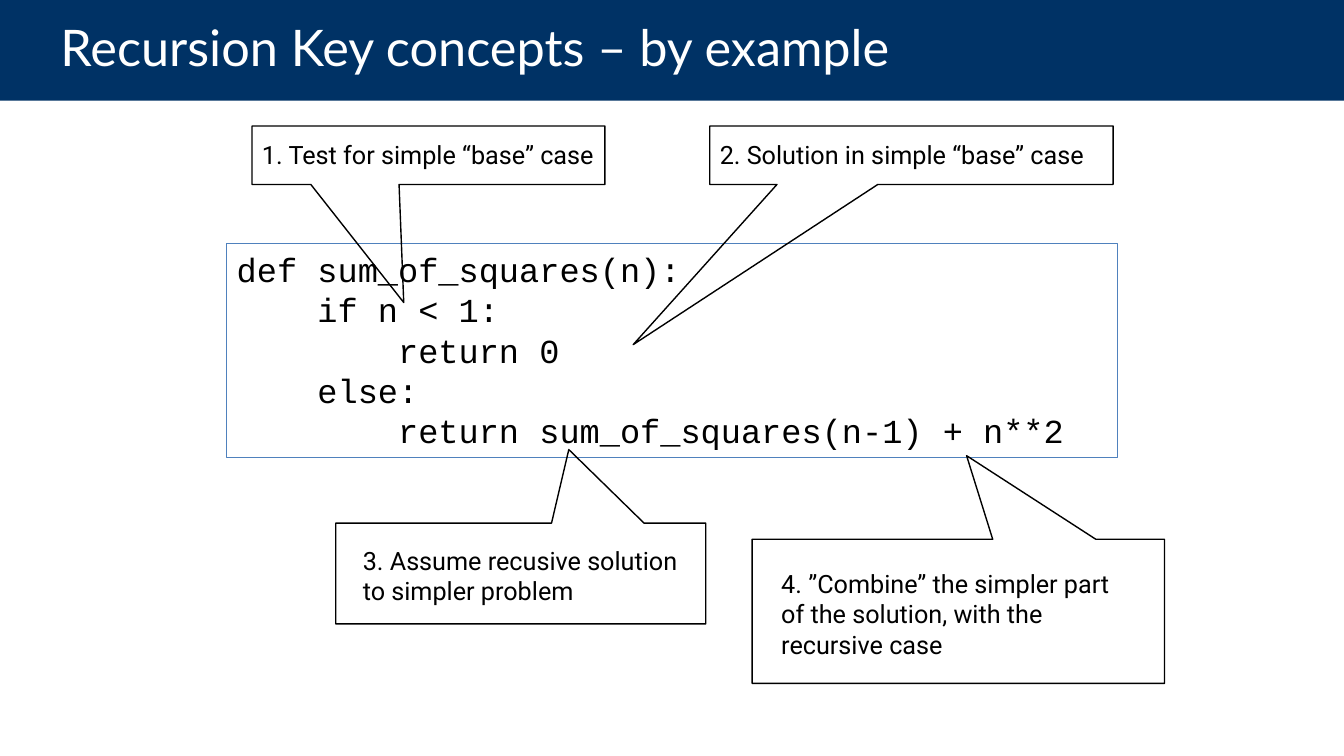
from pptx import Presentation
from pptx.dml.color import RGBColor
from pptx.enum.shapes import MSO_SHAPE
from pptx.enum.text import MSO_ANCHOR, PP_ALIGN
from pptx.util import Inches, Pt

RECT = MSO_SHAPE.RECTANGLE
CALLOUT = MSO_SHAPE.RECTANGULAR_CALLOUT
TOP, MIDDLE = MSO_ANCHOR.TOP, MSO_ANCHOR.MIDDLE
LEFT = PP_ALIGN.LEFT

NAVY = RGBColor(0x00, 0x32, 0x65)
BLUE = RGBColor(0x4F, 0x81, 0xBD)
BLACK = RGBColor(0x00, 0x00, 0x00)
WHITE = RGBColor(0xFF, 0xFF, 0xFF)

TITLE = "Recursion Key concepts – by example"
CODE = [
    "def sum_of_squares(n):",
    "    if n < 1:",
    "        return 0",
    "    else:",
    "        return sum_of_squares(n-1) + n**2",
]
# (text, callout box, pointer offset as a share of the box, text box)
CALLOUTS = [
    ("1. Test for simple “base” case",
     (2.5, 1.25, 3.5, 0.58), (-0.07, 2.52), (2.5, 1.33, 3.49, 0.4)),
    ("2. Solution in simple “base” case",
     (7.04, 1.25, 4, 0.58), (-0.69, 3.24), (7.04, 1.33, 3.85, 0.4)),
    ("3. Assume recusive solution to simpler problem",
     (3.33, 5.19, 3.67, 1), (0.13, -1.23), (3.5, 5.36, 3.33, 0.71)),
    ("4. ”Combine” the simpler part of the solution, with the recursive case",
     (7.46, 5.35, 4.09, 1.43), (0.02, -1.08), (7.65, 5.59, 3.72, 0.93)),
]


def add_box(shapes, kind, box, fill=None, line=None, width=1):
    sp = shapes.add_shape(kind, *map(Inches, box))
    sp.shadow.inherit = False
    if fill is None:
        sp.fill.background()
    else:
        sp.fill.solid()
        sp.fill.fore_color.rgb = fill
    if line is None:
        sp.line.fill.background()
    else:
        sp.line.color.rgb = line
        sp.line.width = Pt(width)
    return sp


def write(sp, lines, font, size, color, anchor=TOP, left=0.1, right=0.1):
    tf = sp.text_frame
    tf.word_wrap = True
    tf.vertical_anchor = anchor
    tf.margin_left, tf.margin_right = Inches(left), Inches(right)
    tf.margin_top = tf.margin_bottom = Inches(0.05)
    tf.text = "\n".join(lines)
    for p in tf.paragraphs:
        p.alignment = LEFT
        p.font.name = font
        p.font.size = Pt(size)
        p.font.color.rgb = color
    return tf


prs = Presentation()
prs.slide_width, prs.slide_height = Inches(13.33), Inches(7.5)
s = prs.slides.add_slide(prs.slide_layouts[6])

title = add_box(s.shapes, RECT, (0, 0, 13.33, 1), fill=NAVY)
tf = write(title, [TITLE], "Lato", 36, WHITE, MIDDLE, 0.6, 1)
tf.paragraphs[0].line_spacing = 0.9

code = add_box(s.shapes, RECT, (2.25, 2.42, 8.83, 2.12), line=BLUE, width=0.75)
write(code, CODE, "Courier New", 24, BLACK)

for text, box, pointer, text_box in CALLOUTS:
    group = s.shapes.add_group_shape()
    callout = add_box(group.shapes, CALLOUT, box, line=BLACK)
    callout.adjustments[0], callout.adjustments[1] = pointer
    label = group.shapes.add_textbox(*map(Inches, text_box))
    write(label, [text], "Roboto", 18, BLACK)

prs.save("out.pptx")
